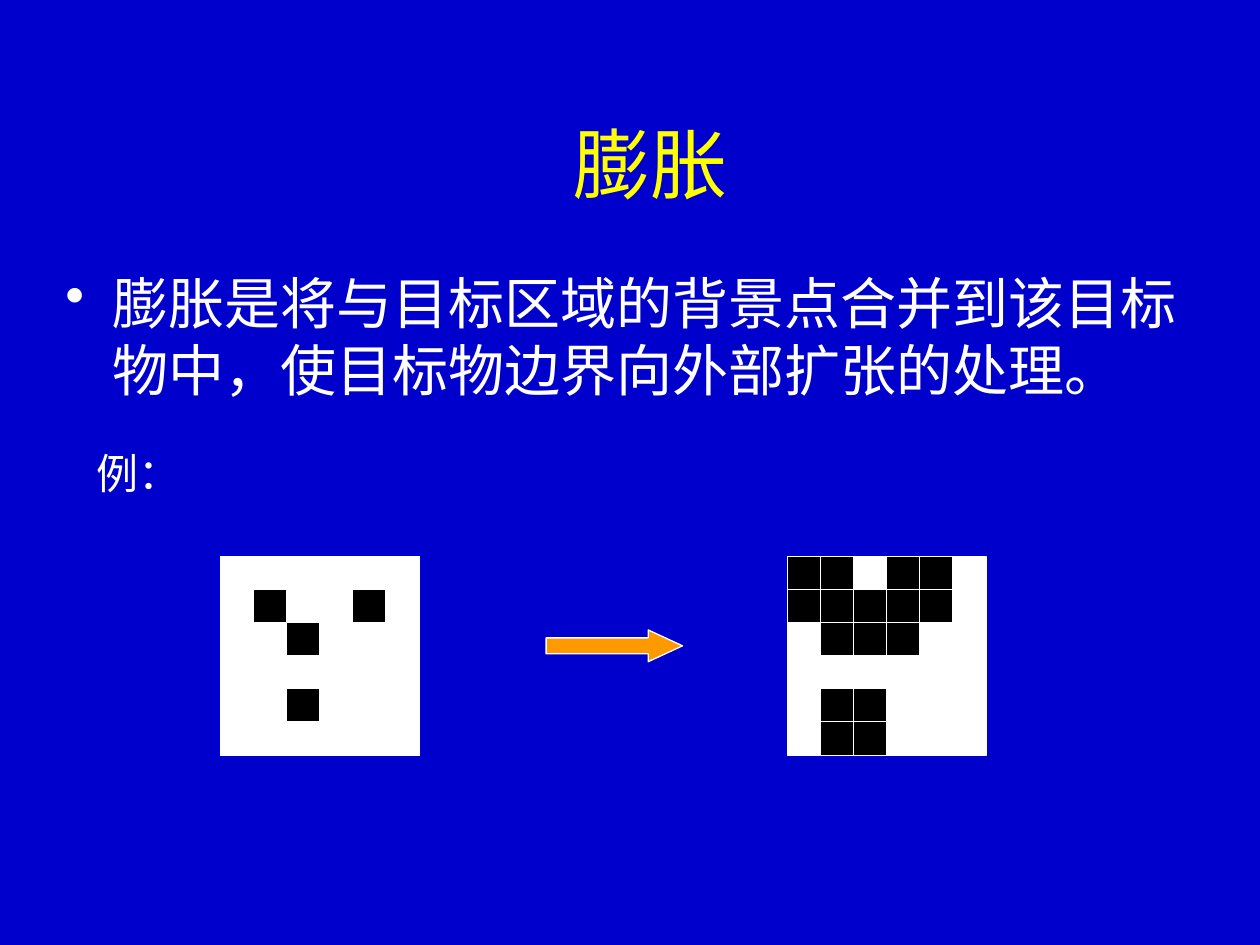
from pptx import Presentation
from pptx.dml.color import RGBColor
from pptx.enum.shapes import MSO_SHAPE
from pptx.enum.text import MSO_ANCHOR, PP_ALIGN
from pptx.oxml.ns import qn
from pptx.util import Cm, Pt

RECT, ARROW = MSO_SHAPE.RECTANGLE, MSO_SHAPE.RIGHT_ARROW
TOP, MIDDLE = MSO_ANCHOR.TOP, MSO_ANCHOR.MIDDLE
LEFT, CENTER = PP_ALIGN.LEFT, PP_ALIGN.CENTER
FONT = "Noto Sans CJK SC"
COLORS = {"back": "0000CC", "title": "FFFF00", "white": "FFFFFF",
          "black": "000000", "arrow": "FF9900"}
CELL = 0.68

# Target cells are marked with #
BEFORE = ["......",
          ".#..#.",
          "..#...",
          "......",
          "..#...",
          "......"]
AFTER = ["##.##.",
         "#####.",
         ".###..",
         "......",
         ".##...",
         ".##..."]


def rgb(name):
    return RGBColor.from_string(COLORS[name])


def add_text(slide, box, text, size, color="white", align=LEFT, anchor=TOP):
    frame = slide.shapes.add_textbox(*map(Cm, box)).text_frame
    frame.word_wrap = True
    frame.vertical_anchor = anchor
    frame.text = text
    para = frame.paragraphs[0]
    para.alignment = align
    font = para.runs[0].font
    font.name, font.size = FONT, Pt(size)
    font.color.rgb = rgb(color)
    east = font._element.makeelement(qn("a:ea"), {"typeface": FONT})
    font._element.find(qn("a:latin")).addnext(east)
    return para


def add_bullet(para, indent):
    props = para._p.get_or_add_pPr()
    props.set("marL", str(Cm(indent)))
    props.set("indent", str(-Cm(indent)))
    mark = props.makeelement(qn("a:buChar"), {"char": "•"})
    props.append(mark)


def add_block(shapes, kind, box, fill):
    shape = shapes.add_shape(kind, *map(Cm, box))
    shape.shadow.inherit = False
    shape.fill.solid()
    shape.fill.fore_color.rgb = rgb(fill)
    shape.line.color.rgb = rgb("white")
    shape.line.width = Pt(0.75)
    return shape


def add_grid(slide, box, rows):
    # Neighbouring cells overlap slightly, so their borders coincide
    left, top, width, height = box
    across = (width - CELL) / (len(rows[0]) - 1)
    down = (height - CELL) / (len(rows) - 1)
    group = slide.shapes.add_group_shape()
    for i, row in enumerate(rows):
        for j, cell in enumerate(row):
            place = (left + j * across, top + i * down, CELL, CELL)
            fill = "black" if cell == "#" else "white"
            add_block(group.shapes, RECT, place, fill)


def add_sample(slide, box):
    left, top, width, side = box
    add_grid(slide, (left, top, side, side), BEFORE)
    add_grid(slide, (left + width - side, top, side, side), AFTER)
    # Arrow between the grids
    arrow = add_block(slide.shapes, ARROW,
                      (left + 6.56, top + 1.48, 2.75, 0.64), "arrow")
    arrow.adjustments[0] = 0.5
    arrow.adjustments[1] = 1.08


def main():
    deck = Presentation()
    deck.slide_width, deck.slide_height = Cm(25.4), Cm(19.05)
    slide = deck.slides.add_slide(deck.slide_layouts[6])
    slide.background.fill.solid()
    slide.background.fill.fore_color.rgb = rgb("back")

    # Title and definition
    add_text(slide, (3.26, 1.7, 19.7, 3.18), "膨胀", 44, "title", CENTER, MIDDLE)
    body = add_text(slide, (1.07, 5.28, 23.7, 3.6),
                    "膨胀是将与目标区域的背景点合并到该目标物中，使目标物边界向外部扩张的处理。", 32)
    add_bullet(body, 0.95)

    # Example
    add_text(slide, (1.7, 8.89, 17.15, 1.27), "例：", 24)
    add_sample(slide, (4.45, 11.22, 15.43, 4.01))

    deck.save("out.pptx")


if __name__ == "__main__":
    main()
